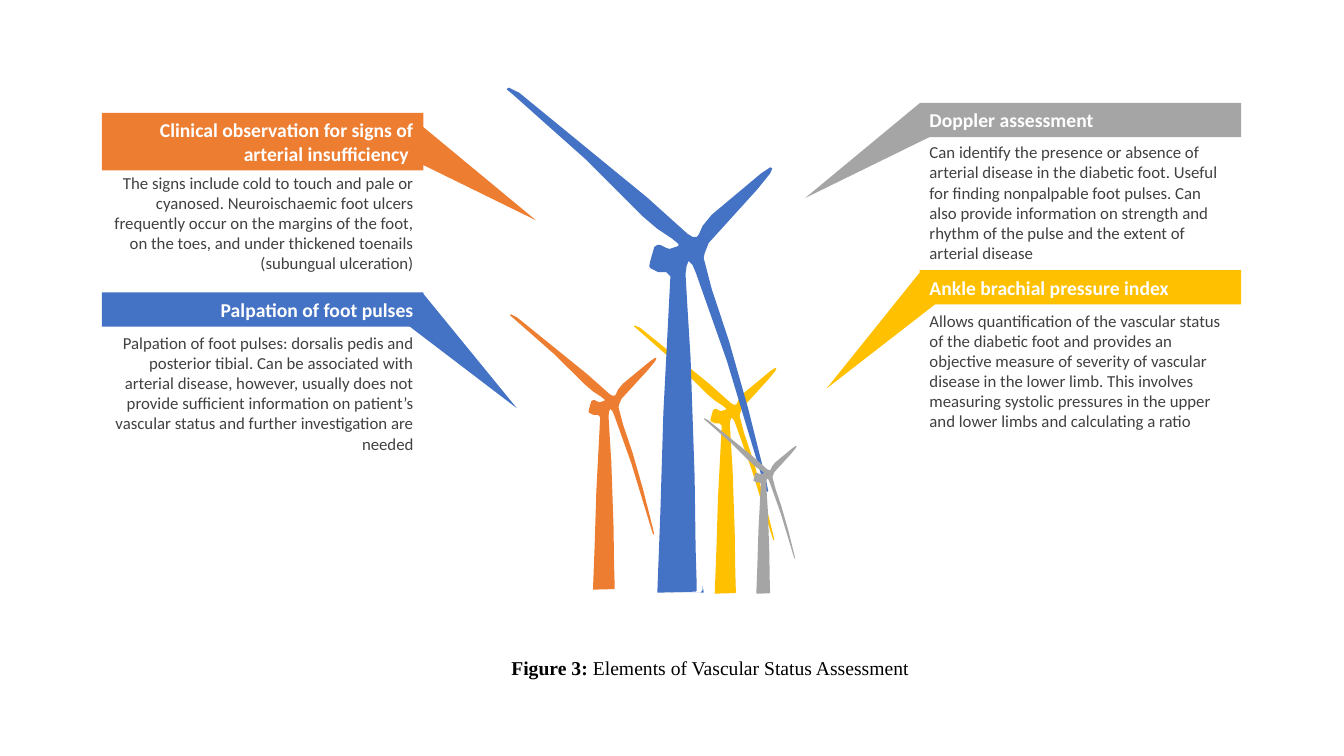
from collections import namedtuple

from pptx import Presentation
from pptx.dml.color import RGBColor
from pptx.enum.shapes import MSO_SHAPE as Preset
from pptx.enum.text import MSO_ANCHOR as Anchor, PP_ALIGN as Align
from pptx.util import Inches, Pt

COLORS = {"orange": "ED7D31", "blue": "4472C4", "gray": "A5A5A5", "gold": "FFC000",
          "white": "FFFFFF", "body": "404040", "black": "000000"}

Box = namedtuple("Box", "left top width height")
Pointer = namedtuple("Pointer", "dx dy rotation apex")
Callout = namedtuple("Callout", "box color align body_dy pointer heading body")

TURBINE_GRID = (263, 501)
TURBINE = [
    (149, 501), (152, 422), (155, 323), (162, 187), (158, 183), (150, 183), (142, 179),
    (141, 177), (142, 172), (146, 158), (149, 156), (152, 156), (158, 159), (161, 160),
    (170, 157), (170, 155), (164, 150), (149, 140), (135, 128), (79, 72), (6, 7), (0, 2),
    (0, 1), (2, 0), (12, 5), (139, 109), (179, 145), (184, 148), (188, 148), (190, 146),
    (194, 137), (203, 126), (252, 85), (261, 79), (263, 80), (261, 85), (248, 101),
    (200, 154), (198, 159), (196, 164), (195, 169), (203, 200), (220, 251), (239, 318),
    (257, 390), (259, 400), (258, 401), (257, 400), (252, 384), (218, 271), (187, 183),
    (184, 176), (180, 172), (178, 177), (177, 185), (179, 220), (182, 268), (186, 386),
    (187, 457), (188, 492), (188, 499), (187, 500)]
GROUND_GRID = (33, 7)
GROUND = [(0, 7), (30, 7), (32, 4), (32, 0), (33, 7)]

TURBINES = [
    ("gold", Box(6.29, 3.23, 1.41, 2.66), TURBINE, TURBINE_GRID),
    ("blue", Box(5.03, 0.87, 2.63, 5.01), TURBINE, TURBINE_GRID),
    ("orange", Box(5.06, 3.12, 1.45, 2.73), TURBINE, TURBINE_GRID),
    ("blue", Box(6.65, 5.81, 0.33, 0.07), GROUND, GROUND_GRID),
    ("gray", Box(6.98, 4.15, 0.92, 1.74), TURBINE, TURBINE_GRID)]

CALLOUTS = [
    Callout(Box(1.01, 1.12, 3.19, 0.57), "orange", Align.RIGHT, 0.54,
            Pointer(3.48, -0.03, 126.7, 0.215),
            "Clinical observation for signs of arterial insufficiency ",
            "The signs include cold to touch and pale or cyanosed. Neuroischaemic foot ulcers "
            "frequently occur on the margins of the foot, on the toes, and under thickened "
            "toenails (subungual ulceration)"),
    Callout(Box(1.01, 2.9, 3.19, 0.34), "blue", Align.RIGHT, 0.35,
            Pointer(3.35, -0.05, 139.9, 0.062),
            "Palpation of foot pulses",
            "Palpation of foot pulses: dorsalis pedis and posterior tibial. Can be associated "
            "with arterial disease, however, usually does not provide sufficient information "
            "on patient’s vascular status and further investigation are needed"),
    Callout(Box(9.12, 1.02, 3.19, 0.34), "gray", Align.LEFT, 0.34,
            Pointer(-0.66, -0.15, 233.3, 0.215),
            "Doppler assessment",
            "Can identify the presence or absence of arterial disease in the diabetic foot. "
            "Useful for finding nonpalpable foot pulses. Can also provide information on "
            "strength and rhythm of the pulse and the extent of arterial disease"),
    Callout(Box(9.12, 2.68, 3.19, 0.34), "gold", Align.LEFT, 0.35,
            Pointer(-0.51, -0.03, 219.6, 0.062),
            "Ankle brachial pressure index",
            "Allows quantification of the vascular status of the diabetic foot and provides an "
            "objective measure of severity of vascular disease in the lower limb. This involves "
            "measuring systolic pressures in the upper and lower limbs and calculating a ratio")]


def rgb(name):
    """Return the named palette colour."""
    return RGBColor.from_string(COLORS[name])


def paint(shape, color):
    """Give a shape a plain fill without line or shadow."""
    shape.fill.solid()
    shape.fill.fore_color.rgb = rgb(color)
    shape.line.fill.background()
    shape.shadow.inherit = False


def write(shape, parts, align, size, color, font="Calibri", anchor=Anchor.TOP):
    """Write one paragraph of (text, bold) parts into a shape."""
    frame = shape.text_frame
    frame.word_wrap = True
    frame.vertical_anchor = anchor
    paragraph = frame.paragraphs[0]
    paragraph.alignment = align
    paragraph.font.name = font
    paragraph.font.size = Pt(size)
    paragraph.font.color.rgb = rgb(color)
    for text, bold in parts:
        run = paragraph.add_run()
        run.text = text
        run.font.bold = bold


def add_callout(slide, callout):
    """Place a pointer, a heading bar and its explanation."""
    box, tip = callout.box, callout.pointer
    pointer = slide.shapes.add_shape(
        Preset.ISOSCELES_TRIANGLE, Inches(box.left + tip.dx), Inches(box.top + tip.dy),
        Inches(0.35), Inches(1.47))
    pointer.adjustments[0] = tip.apex
    pointer.rotation = tip.rotation
    if tip.dx < 0:
        pointer.element.spPr.xfrm.set("flipH", "1")
    paint(pointer, callout.color)

    heading = slide.shapes.add_shape(Preset.RECTANGLE, *map(Inches, box))
    paint(heading, callout.color)
    write(heading, [(callout.heading, True)], callout.align, 14, "white", anchor=Anchor.MIDDLE)

    body = slide.shapes.add_textbox(
        Inches(box.left), Inches(box.top + callout.body_dy), Inches(box.width), Inches(1.31))
    write(body, [(callout.body, False)], callout.align, 12, "body")


def add_outline(slide, color, box, points, grid):
    """Stretch an outline drawn on a grid over the box."""
    scale = (Inches(box.width) / grid[0], Inches(box.height) / grid[1])
    builder = slide.shapes.build_freeform(*points[0], scale=scale)
    builder.add_line_segments(points[1:], close=True)
    paint(builder.convert_to_shape(Inches(box.left), Inches(box.top)), color)


def add_caption(slide, box):
    """Place the figure caption."""
    caption = slide.shapes.add_textbox(*map(Inches, box))
    write(caption, [("Figure 3: ", True), ("Elements of Vascular Status Assessment", False)],
          Align.CENTER, 14, "black", font="Times New Roman")


def main():
    """Build and save the slide."""
    deck = Presentation()
    deck.slide_width, deck.slide_height = Inches(13.33), Inches(7.5)
    slide = deck.slides.add_slide(deck.slide_layouts[6])
    for callout in CALLOUTS:
        add_callout(slide, callout)
    for turbine in TURBINES:
        add_outline(slide, *turbine)
    add_caption(slide, Box(3.71, 6.46, 6.67, 0.34))
    deck.save("out.pptx")


main()
